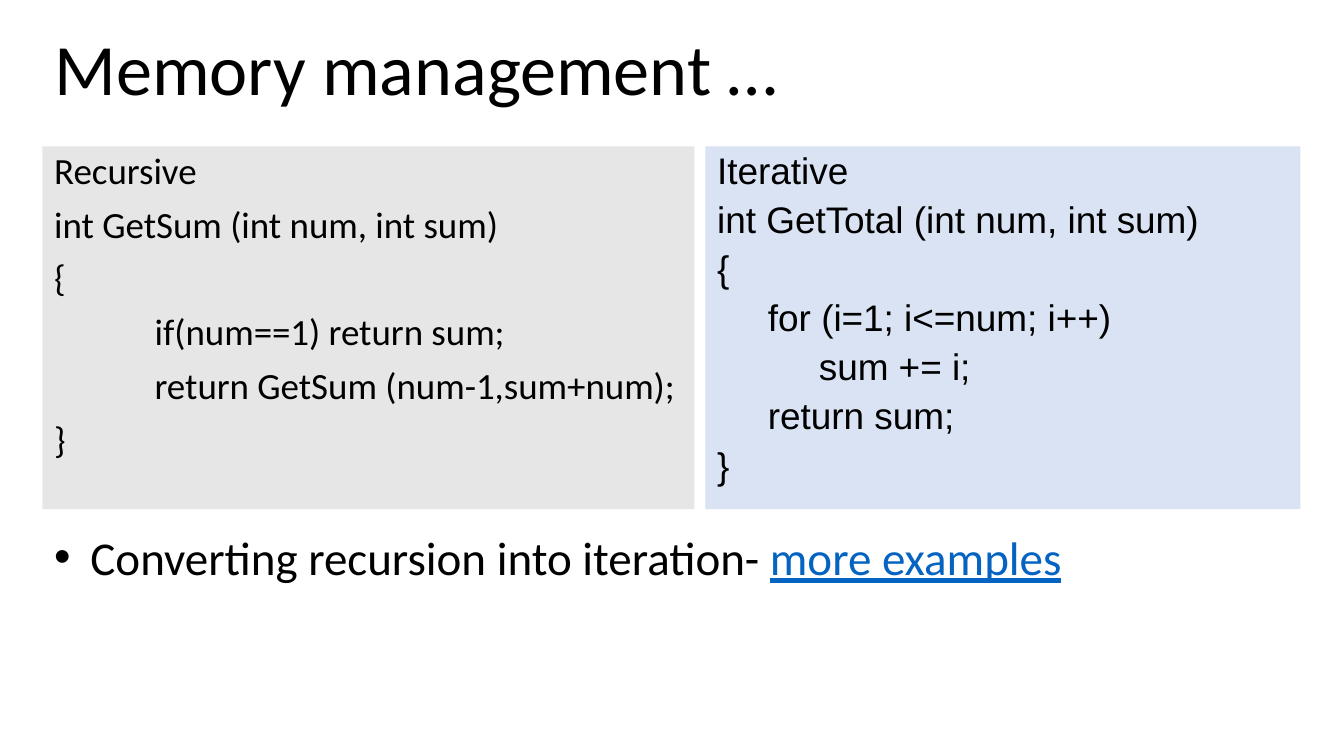
from dataclasses import dataclass

from lxml.etree import SubElement
from pptx import Presentation
from pptx.dml.color import RGBColor as Rgb
from pptx.enum.shapes import MSO_SHAPE as Shape
from pptx.enum.text import MSO_ANCHOR as Anchor
from pptx.enum.text import MSO_AUTO_SIZE as Fit
from pptx.enum.text import PP_ALIGN as Align
from pptx.oxml.ns import qn
from pptx.util import Inches, Pt

COLORS = {
    "text": "000000",
    "link": "0563C1",
    "gray": "E7E6E6",
    "blue": "DAE3F3",
    "page": "FFFFFF",
}
LEFT = 0.35
CODE_TOP, CODE_HIGH = 1.21, 3


@dataclass
class Panel:
    left: float
    width: float
    fill: str
    font: str
    gap: float  # points before each line but the first
    tab: float  # inches per indent step
    lines: list[str]


PANELS = [
    Panel(LEFT, 5.39, "gray", "Calibri", 8.3, 0.83, [
        "Recursive",
        "int GetSum (int num, int sum)",
        "{",
        "\tif(num==1) return sum;",
        "\treturn GetSum (num-1,sum+num);",
        "}",
    ]),
    Panel(5.83, 4.92, "blue", "Arial", 5.5, 0.42, [
        "Iterative",
        "int GetTotal (int num, int sum)",
        "{",
        "\tfor (i=1; i<=num; i++)",
        "\t\tsum += i;",
        "\treturn sum;",
        "}",
    ]),
]


def color(name: str) -> Rgb:
    return Rgb.from_string(COLORS[name])


def style(run, font: str, size: float, tint: str = "text") -> None:
    run.font.name = font
    run.font.size = Pt(size)
    run.font.color.rgb = color(tint)


def add_tabs(para, step: float, count: int) -> None:
    tabs = SubElement(para._p.get_or_add_pPr(), qn("a:tabLst"))
    for i in range(1, count + 1):
        SubElement(tabs, qn("a:tab"), pos=str(Inches(step * i)), algn="l")


def add_panel(slide, panel: Panel) -> None:
    box = slide.shapes.add_shape(
        Shape.RECTANGLE, Inches(panel.left), Inches(CODE_TOP),
        Inches(panel.width), Inches(CODE_HIGH))
    box.shadow.inherit = False
    box.fill.solid()
    box.fill.fore_color.rgb = color(panel.fill)
    box.line.fill.background()
    frame = box.text_frame
    frame.word_wrap = True
    frame.vertical_anchor = Anchor.TOP
    frame.text = "\n".join(panel.lines)
    for i, para in enumerate(frame.paragraphs):
        add_tabs(para, panel.tab, 2)
        para.alignment = Align.LEFT
        para.line_spacing = 0.9
        para.space_before = Pt(panel.gap if i else 0)
        style(para.runs[0], panel.font, 22)


def add_title(slide, text: str) -> None:
    title = slide.shapes.title
    title.left, title.top = Inches(LEFT), Inches(0.09)
    title.width, title.height = Inches(9.58), Inches(1.02)
    frame = title.text_frame
    frame.text = text
    frame.word_wrap = True
    frame.auto_size = Fit.NONE
    frame.vertical_anchor = Anchor.MIDDLE
    para = frame.paragraphs[0]
    para.alignment = Align.LEFT
    para.line_spacing = 0.9
    style(para.runs[0], "Calibri", 43)


def add_note(slide, text: str, link: str) -> None:
    box = slide.shapes.add_textbox(
        Inches(LEFT), Inches(4.32), Inches(10.4), Inches(0.81))
    frame = box.text_frame
    frame.word_wrap = True
    para = frame.paragraphs[0]
    props = para._p.get_or_add_pPr()
    props.set("marL", str(Inches(0.3)))
    props.set("indent", str(Inches(-0.3)))
    SubElement(props, qn("a:buFont"), typeface="Arial")
    SubElement(props, qn("a:buChar"), char="•")
    para.space_after = Pt(6)
    for words, tint in ((text, "text"), (link, "link")):
        run = para.add_run()
        run.text = words
        style(run, "Calibri", 28, tint)
    run.font.underline = True


def main() -> None:
    deck = Presentation()
    deck.slide_width, deck.slide_height = Inches(11.11), Inches(6.25)
    slide = deck.slides.add_slide(deck.slide_layouts[5])
    slide.background.fill.solid()
    slide.background.fill.fore_color.rgb = color("page")

    # Heading
    add_title(slide, "Memory management …")
    # Two code panels side by side
    for panel in PANELS:
        add_panel(slide, panel)
    # Bullet below the panels
    add_note(slide, "Converting recursion into iteration- ", "more examples")

    deck.save("out.pptx")


if __name__ == "__main__":
    main()
